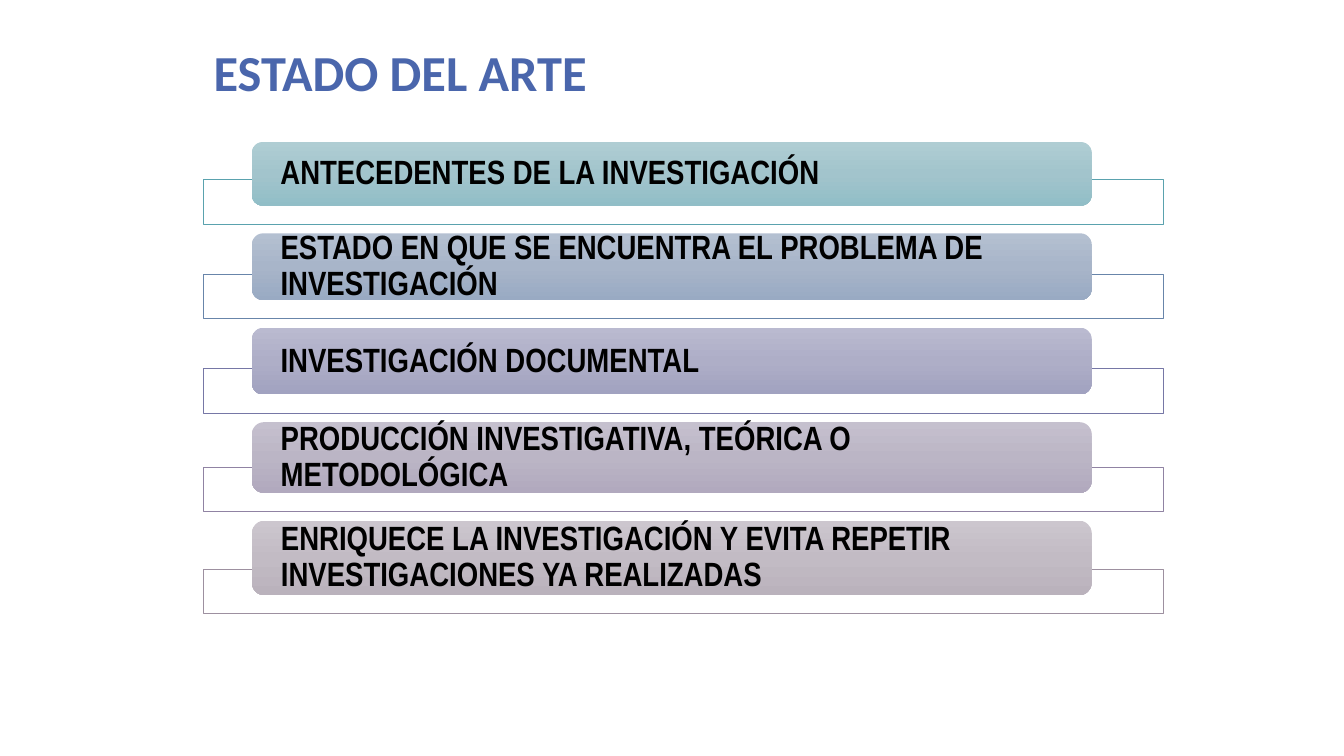
from copy import deepcopy
from dataclasses import dataclass

from lxml import etree
from pptx import Presentation
from pptx.dml.color import RGBColor
from pptx.enum.shapes import MSO_SHAPE
from pptx.enum.text import MSO_ANCHOR, MSO_AUTO_SIZE, PP_ALIGN
from pptx.oxml.ns import qn
from pptx.util import Cm, Pt

RECTANGLE = MSO_SHAPE.RECTANGLE
ROUNDED_RECTANGLE = MSO_SHAPE.ROUNDED_RECTANGLE
MIDDLE = MSO_ANCHOR.MIDDLE
BOTTOM = MSO_ANCHOR.BOTTOM
LEFT = PP_ALIGN.LEFT
NO_AUTOFIT = MSO_AUTO_SIZE.NONE
TITLE_ONLY = 5


@dataclass(frozen=True)
class Theme:
    title_font: str = "Calibri"
    topic_font: str = "Arial Narrow"
    title_size: int = 36
    topic_size: int = 24
    line_width: float = 0.5
    title_color: str = "4A66AC"
    text_color: str = "000000"
    frame_color: str = "FFFFFF"
    frame_opacity: int = 90


THEME = Theme()

LEFT_EDGE = 5.13
FRAME_WIDTH = 24.2
FRAME_HEIGHT = 1.12
BAR_LEFT = 6.35
BAR_WIDTH = 21.16
FIRST_BAR_TOP = 3.58
BAR_GAP = 0.7
BAR_OVERLAP = 0.65

TOPICS = [
    ("ANTECEDENTES DE LA INVESTIGACIÓN", 1.6,
     "5AA2AE", ("AFCDD3", "A2C4CC", "91BEC7")),
    ("ESTADO EN QUE SE ENCUENTRA EL PROBLEMA DE INVESTIGACIÓN", 1.68,
     "6885AA", ("B4C0D1", "A8B5C9", "99AAC3")),
    ("INVESTIGACIÓN DOCUMENTAL", 1.68,
     "7677A6", ("BABAD0", "AEAEC7", "A1A2C0")),
    ("PRODUCCIÓN INVESTIGATIVA, TEÓRICA O METODOLÓGICA", 1.78,
     "9083A3", ("C5C0CE", "BBB5C5", "B1A9BE")),
    ("ENRIQUECE LA INVESTIGACIÓN Y EVITA REPETIR INVESTIGACIONES YA REALIZADAS", 1.88,
     "9D90A0", ("CCC6CE", "C2BBC4", "BAB2BC")),
]


def apply_format(target, values):
    for name, value in values.items():
        setattr(target, name, value)


def write_text(shape, text, font, size, color, frame_format, line_spacing):
    text_frame = shape.text_frame
    apply_format(text_frame, {"word_wrap": True, "auto_size": NO_AUTOFIT, **frame_format})
    text_frame.text = text
    paragraph = text_frame.paragraphs[0]
    apply_format(paragraph, {"alignment": LEFT, "line_spacing": line_spacing})
    run = paragraph.runs[0]
    apply_format(run.font, {"name": font, "size": Pt(size), "bold": True})
    run.font.color.rgb = RGBColor.from_string(color)


def add_plain_shape(slide, kind, left, top, width, height):
    shape = slide.shapes.add_shape(kind, Cm(left), Cm(top), Cm(width), Cm(height))
    shape.shadow.inherit = False
    return shape


def fill_gradient(shape, colors):
    fill = shape.fill
    fill.gradient()
    fill.gradient_angle = 270
    stop_list = shape.element.spPr.find(qn("a:gradFill")).find(qn("a:gsLst"))
    stop_list.insert(1, deepcopy(stop_list[0]))
    for index, (stop, color) in enumerate(zip(fill.gradient_stops, colors)):
        stop.color.rgb = RGBColor.from_string(color)
        stop.position = index / (len(colors) - 1)


def add_frame(slide, top, line_color):
    frame = add_plain_shape(slide, RECTANGLE, LEFT_EDGE, top, FRAME_WIDTH, FRAME_HEIGHT)
    frame.fill.solid()
    frame.fill.fore_color.rgb = RGBColor.from_string(THEME.frame_color)
    color_element = frame.element.spPr.find(qn("a:solidFill"))[0]
    etree.SubElement(color_element, qn("a:alpha"), val=str(THEME.frame_opacity * 1000))
    frame.line.color.rgb = RGBColor.from_string(line_color)
    frame.line.width = Pt(THEME.line_width)


def add_bar(slide, text, top, height, colors):
    bar = add_plain_shape(slide, ROUNDED_RECTANGLE, BAR_LEFT, top, BAR_WIDTH, height)
    fill_gradient(bar, colors)
    bar.line.fill.background()
    frame_format = {
        "vertical_anchor": MIDDLE,
        "margin_left": Cm(0.64),
        "margin_right": Cm(0.64),
        "margin_top": Cm(0),
        "margin_bottom": Cm(0),
    }
    write_text(bar, text, THEME.topic_font, THEME.topic_size, THEME.text_color,
               frame_format, 0.9)


def add_topics(slide):
    top = FIRST_BAR_TOP
    for text, height, line_color, colors in TOPICS:
        add_frame(slide, top + height - BAR_OVERLAP, line_color)
        add_bar(slide, text, top, height, colors)
        top += height + BAR_GAP


def format_title(slide):
    title = slide.shapes.title
    apply_format(title, {"left": Cm(LEFT_EDGE), "top": Cm(0.74),
                         "width": Cm(22.86), "height": Cm(1.93)})
    write_text(title, "ESTADO DEL ARTE", THEME.title_font, THEME.title_size,
               THEME.title_color, {"vertical_anchor": BOTTOM}, 0.8)


def main():
    presentation = Presentation()
    apply_format(presentation, {"slide_width": Cm(33.87), "slide_height": Cm(19.05)})
    slide = presentation.slides.add_slide(presentation.slide_layouts[TITLE_ONLY])
    format_title(slide)
    add_topics(slide)
    presentation.save("out.pptx")


main()
